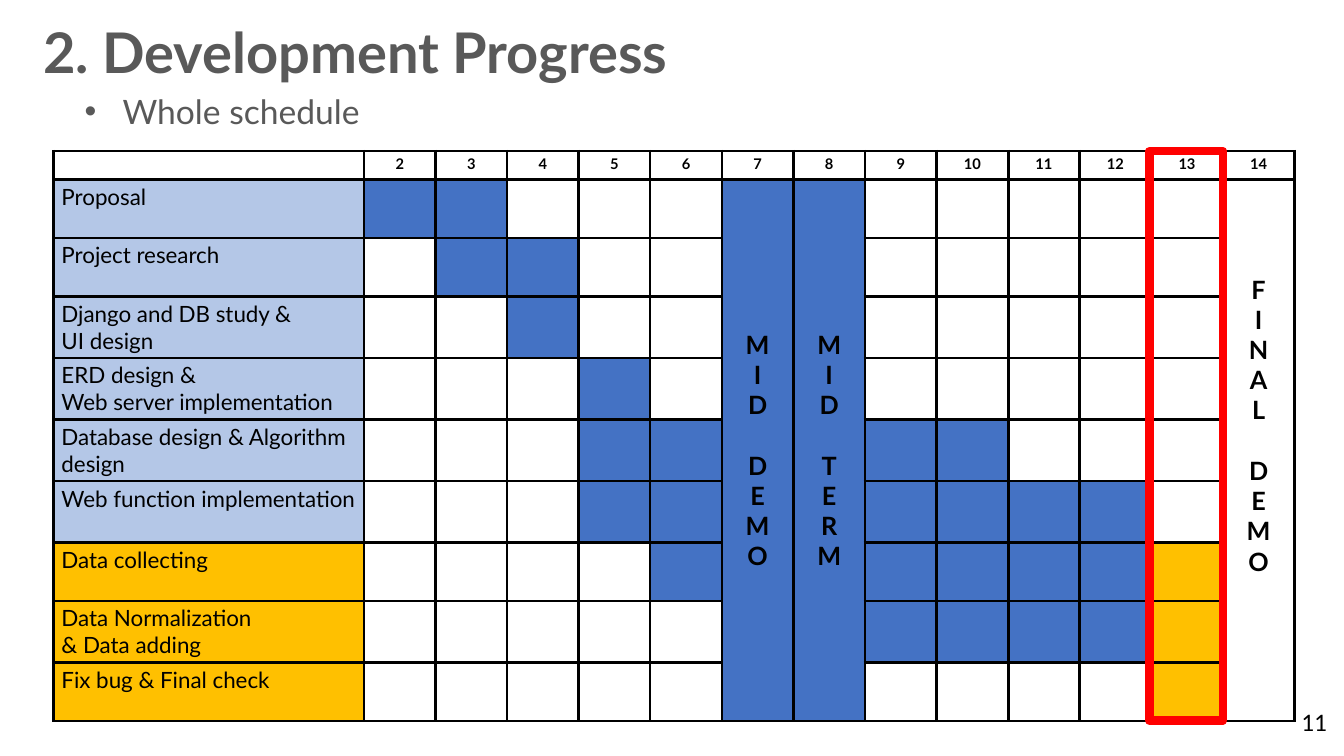
from lxml.etree import SubElement as Sub
from pptx import Presentation
from pptx.dml.color import RGBColor as RGB
from pptx.enum.shapes import MSO_SHAPE as Shape
from pptx.enum.text import MSO_ANCHOR as Anchor, MSO_AUTO_SIZE as Fit, PP_ALIGN as Align
from pptx.oxml.ns import qn
from pptx.util import Inches, Pt

BLUE, PALE, GOLD, WHITE, GRAY = "4472C4", "B4C7E7", "FFC000", "FFFFFF", "595959"


def color(text):
    return RGB.from_string(text)


def write(frame, text, size, tint="000000", align=Align.LEFT, bold=False, name="Lato"):
    frame.text = text
    form = {"size": Pt(size), "bold": bold, "name": name}
    for para in frame.paragraphs:
        para.alignment = align
        para.space_before = Pt(0)
        for run in para.runs:
            for key, val in form.items():
                setattr(run.font, key, val)
            run.font.color.rgb = color(tint)


deck = Presentation()
deck.slide_width, deck.slide_height = Inches(13.33), Inches(7.5)
slide = deck.slides.add_slide(deck.slide_layouts[1])

# Title, subtitle and page number
title, body = slide.placeholders
page = slide.shapes.add_textbox(0, 0, 0, 0)
heads = [
    (title, (0.33, 0.12, 7.52, 0.77), "2. Development Progress",
     {"size": 40, "tint": GRAY, "bold": True}),
    (body, (0.74, 0.85, 12.59, 0.5), "Whole schedule", {"size": 24, "tint": GRAY}),
    (page, (12.81, 6.96, 0.46, 0.4), "11", {"size": 18, "name": "Calibri"}),
]
for box, place, text, form in heads:
    for key, val in zip(("left", "top", "width", "height"), place):
        setattr(box, key, Inches(val))
    box.text_frame.auto_size = Fit.NONE
    write(box.text_frame, text, **form)
page.text_frame.word_wrap = False

# Tasks: label, row height, label fill, first and last busy week
tasks = [
    ("Proposal", 0.58, PALE, 2, 3),
    ("Project research", 0.58, PALE, 3, 4),
    ("Django and DB study &\nUI design", 0.61, PALE, 4, 4),
    ("ERD design &\nWeb server implementation", 0.61, PALE, 5, 5),
    ("Database design & Algorithm design", 0.61, PALE, 5, 10),
    ("Web function implementation", 0.61, PALE, 5, 12),
    ("Data collecting", 0.58, GOLD, 6, 12),
    ("Data Normalization\n& Data adding", 0.61, GOLD, 9, 12),
    ("Fix bug & Final check", 0.58, GOLD, 0, 0),
]
weeks = range(2, 15)
left, top, first, step = 0.53, 1.5, 3.08, 0.71
high = 0.28 + sum(task[1] for task in tasks)

# Table grid
grid = slide.shapes.add_table(len(tasks) + 1, len(weeks) + 1, Inches(left), Inches(top),
                              Inches(first + step * len(weeks)), Inches(high)).table
grid.first_row = grid.horz_banding = False
for col in grid.columns:
    col.width = Inches(step)
grid.columns[0].width = Inches(first)
for row, tall in zip(grid.rows, [0.28] + [task[1] for task in tasks]):
    row.height = Inches(tall)

# Borders and margins, with heavier lines after weeks 4 and 10
pads = {"margin_left": 0.08, "margin_right": 0.08, "margin_top": 0.04, "margin_bottom": 0.04}
for row in grid.rows:
    for spot, cell in enumerate(row.cells):
        for key, val in pads.items():
            setattr(cell, key, Inches(val))
        for side in "LRTB":
            thick = (side, spot) in {("R", 3), ("L", 4), ("R", 9), ("L", 10)}
            line = Sub(cell._tc.get_or_add_tcPr(), qn("a:ln" + side),
                       w=str(Pt(2.55 if thick else 1.98)))
            Sub(Sub(line, qn("a:solidFill")), qn("a:srgbClr"), val="000000")
        cell.fill.solid()
        cell.fill.fore_color.rgb = color(WHITE)
        # Small size for empty cells keeps the rows low
        Sub(cell.text_frame.paragraphs[0]._p, qn("a:endParaRPr"), sz="1050")

# Week numbers
for spot, week in enumerate(weeks, 1):
    write(grid.cell(0, spot).text_frame, str(week), 10.5, align=Align.CENTER, bold=True)

# Task labels and bars
for line, (label, tall, tint, start, end) in enumerate(tasks, 1):
    write(grid.cell(line, 0).text_frame, label, 16)
    grid.cell(line, 0).fill.fore_color.rgb = color(tint)
    for week in range(start, end + 1):
        if week:
            grid.cell(line, week - 1).fill.fore_color.rgb = color(BLUE)
    if tint == GOLD:
        grid.cell(line, 12).fill.fore_color.rgb = color(GOLD)

# Milestone columns, one letter a line
for spot, words, tint in [(6, "MID DEMO", BLUE), (7, "MID TERM", BLUE), (13, "FINAL DEMO", WHITE)]:
    cell = grid.cell(1, spot)
    cell.merge(grid.cell(len(tasks), spot))
    cell.fill.fore_color.rgb = color(tint)
    cell.vertical_anchor = Anchor.MIDDLE
    write(cell.text_frame, "\n".join(words.replace(" ", "")), 18, align=Align.CENTER, bold=True)
    cell.text_frame.paragraphs[words.index(" ")].space_before = Pt(21.6)
final = grid.cell(1, 13)
final.vertical_anchor, final.margin_top = Anchor.TOP, Inches(0.94)

# Red frame around the current week
frame = slide.shapes.add_shape(Shape.RECTANGLE, Inches(11.4), Inches(top),
                               Inches(0.73), Inches(high))
frame.shadow.inherit = False
frame.fill.background()
frame.line.color.rgb = color("FF0000")
frame.line.width = Pt(6)

deck.save("out.pptx")
